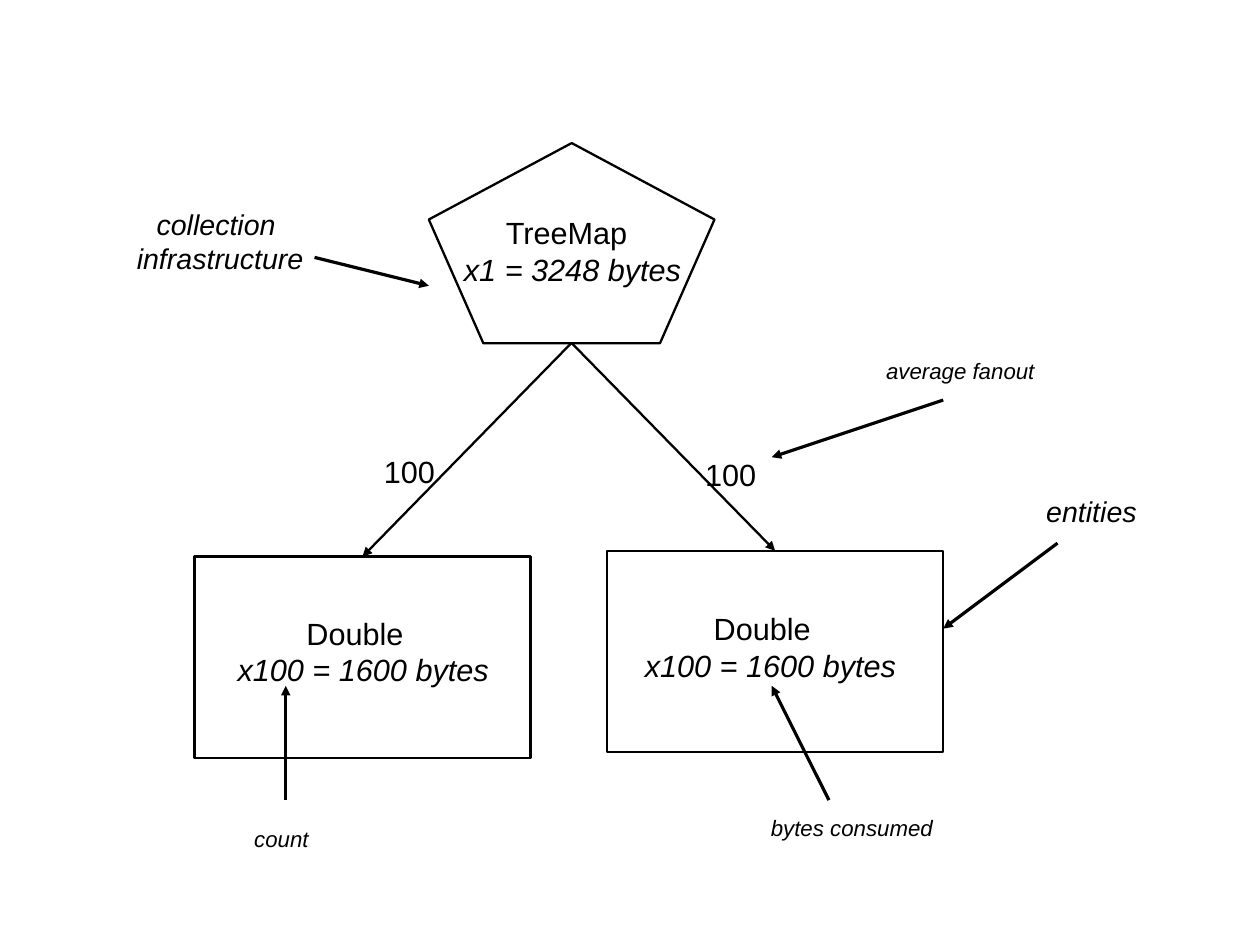
from lxml import etree
from pptx import Presentation
from pptx import util as u
from pptx.dml.color import RGBColor
from pptx.enum import shapes, text
from pptx.oxml.ns import qn

Cm, Pt = u.Cm, u.Pt
INK = "000000"
FACE = "Arial"
BIG, MID, SMALL = 19.3, 18, 14
BOLD, THIN = 1.45, 0  # line widths

# Content, lengths in cm
ROOT = (9.53, 3.18, 6.35, 4.45)
LEAVES = [(4.32, 12.37, 7.47, 4.47), (13.49, 12.24, 7.47, 4.47)]
FORK = (12.7, 7.62)

LEAF = [("Double", 1.53, False), ("x100 = 1600 bytes", 0, True)]
TREE = [("TreeMap", 0.93, False), ("x1 = 3248 bytes", 0, True)]
FANOUT = [("100", 0, False)]

# box, side inset, size, lines of (words, indent, italic)
LABELS = [
    ((9.98, 4.6, 5.49, 1.93), 0.33, BIG, TREE),
    ((4.95, 13.51, 6.25, 1.93), 0.33, BIG, LEAF),
    ((14, 13.41, 6.25, 1.93), 0.33, BIG, LEAF),
    ((15.34, 9.96, 1.8, 1.17), 0.33, BIG, FANOUT),
    ((8.2, 9.88, 1.8, 1.17), 0.33, BIG, FANOUT),
    ((19, 7.67, 4.32, 1.12), 0.25, SMALL, [("average fanout", 0.44, True)]),
    ((22.56, 10.8, 3, 1.12), 0.25, MID, [("entities", 0.44, True)]),
    ((2.79, 4.45, 4.22, 1.83), 0.25, MID,
     [("collection", 0.44, True), ("infrastructure", 0, True)]),
    ((5, 18.08, 2.18, 1.12), 0.25, SMALL, [("count", 0.4, True)]),
    ((16.46, 17.83, 4.57, 1.12), 0.25, SMALL, [("bytes consumed", 0.42, True)]),
]

# Pointers from each note to its part
POINTERS = [
    ((23.5, 12.07), (20.96, 13.97)),
    ((6.99, 5.72), (9.53, 6.35)),
    ((20.96, 8.89), (17.15, 10.16)),
    ((6.35, 17.78), (6.35, 15.24)),
    ((18.42, 17.78), (17.15, 15.24)),
]


def paint(target, tone):
    target.rgb = RGBColor.from_string(tone)


def outline(kind, box):
    shape = slide.shapes.add_shape(kind, *map(Cm, box))
    shape.shadow.inherit = False
    shape.fill.background()
    paint(shape.line.color, INK)
    shape.line.width = Pt(BOLD)
    return shape


def arrow(start, end, width):
    line = slide.shapes.add_connector(
        shapes.MSO_CONNECTOR.STRAIGHT, *map(Cm, start + end))
    paint(line.line.color, INK)
    line.line.width = Pt(width)
    props = line._element.spPr
    etree.SubElement(props.find(qn("a:ln")), qn("a:tailEnd"), type="triangle")
    etree.SubElement(props, qn("a:effectLst"))
    return line


def label(box, inset, size, lines):
    frame = slide.shapes.add_textbox(*map(Cm, box)).text_frame
    frame.word_wrap = True
    frame.vertical_anchor = text.MSO_ANCHOR.MIDDLE
    frame.margin_left = Cm(inset)
    frame.margin_right = frame.margin_top = frame.margin_bottom = 0
    frame.text = "\n".join(words for words, _, _ in lines)
    for para, (_, indent, slant) in zip(frame.paragraphs, lines):
        para._p.get_or_add_pPr().set("marL", str(Cm(indent)))
        font = para.runs[0].font
        font.name, font.size, font.italic = FACE, Pt(size), slant
        paint(font.color, INK)


deck = Presentation()
deck.slide_width, deck.slide_height = Cm(28), Cm(21)
slide = deck.slides.add_slide(deck.slide_layouts[6])

# Tree: root, leaves and branches
outline(shapes.MSO_SHAPE.REGULAR_PENTAGON, ROOT)
for box in LEAVES:
    leaf = outline(shapes.MSO_SHAPE.RECTANGLE, box)
    top = (box[0] + box[2] / 2, box[1])
    arrow(FORK, top, BOLD).end_connect(leaf, 0)

# Words and pointers
for item in LABELS:
    label(*item)
for start, end in POINTERS:
    arrow(start, end, THIN)

deck.save("out.pptx")
